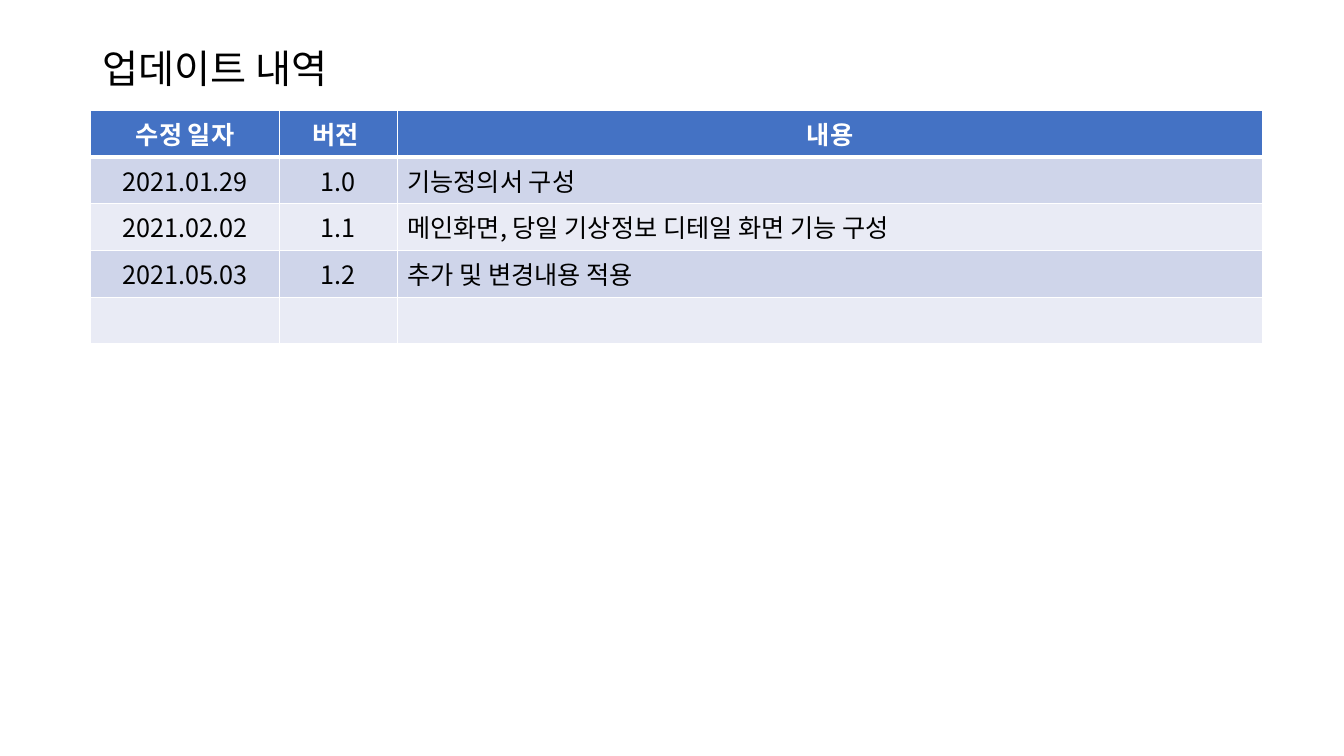
"""Build the update history slide."""
from lxml import etree
from pptx import Presentation
from pptx.dml.color import RGBColor
from pptx.enum.text import MSO_ANCHOR, PP_ALIGN
from pptx.oxml.ns import qn
from pptx.util import Cm, Pt

TITLE = "업데이트 내역"
ROWS = [
    ("수정 일자", "버전 ", "내용"),
    ("2021.01.29", "1.0", "기능정의서 구성"),
    ("2021.02.02", "1.1", "메인화면, 당일 기상정보 디테일 화면 기능 구성"),
    ("2021.05.03", "1.2", "추가 및 변경내용 적용"),
    ("", "", ""),
]
WIDTHS = (4.75, 2.97, 21.82)
LEFT, TOP, HIGH = 2.29, 2.77, 1.18
FONT = "Noto Sans CJK KR"
BLACK = RGBColor(0x00, 0x00, 0x00)
WHITE = RGBColor(0xFF, 0xFF, 0xFF)
BLUE = RGBColor(0x44, 0x72, 0xC4)
BANDS = (RGBColor(0xE9, 0xEB, 0xF5), RGBColor(0xCF, 0xD5, 0xEA))
MIDDLE = MSO_ANCHOR.MIDDLE
CENTER, START = PP_ALIGN.CENTER, PP_ALIGN.LEFT


def add_run(para, text, size, color, bold=False):
    """Add one styled run with Latin and East Asian fonts."""
    run = para.add_run()
    run.text = text
    font = run.font
    font.name, font.size, font.bold = FONT, Pt(size), bold
    font.color.rgb = color
    east = etree.Element(qn("a:ea"), typeface=FONT)
    run._r.rPr.find(qn("a:latin")).addnext(east)


def add_edge(cell, side, width):
    """Add one white border to a cell."""
    props = cell._tc.get_or_add_tcPr()
    line = etree.SubElement(props, qn("a:ln" + side), w=str(Pt(width)))
    fill = etree.SubElement(line, qn("a:solidFill"))
    etree.SubElement(fill, qn("a:srgbClr"), val=str(WHITE))


def add_title(slide):
    """Add the slide title."""
    box = slide.shapes.add_textbox(Cm(2.33), Cm(1.02), Cm(29.21), Cm(1.52))
    frame = box.text_frame
    frame.word_wrap = True
    frame.vertical_anchor = MIDDLE
    para = frame.paragraphs[0]
    para.line_spacing = 0.9
    add_run(para, TITLE, 28, BLACK)


def add_log(slide):
    """Add the table of updates."""
    frame = slide.shapes.add_table(
        len(ROWS), len(WIDTHS), Cm(LEFT), Cm(TOP),
        Cm(sum(WIDTHS)), Cm(HIGH * len(ROWS)))
    table = frame.table
    for col, width in zip(table.columns, WIDTHS):
        col.width = Cm(width)
    for i, texts in enumerate(ROWS):
        table.rows[i].height = Cm(HIGH)
        head = i == 0
        for j, text in enumerate(texts):
            cell = table.cell(i, j)
            edges = {"L": 1, "R": 1, "T": 3 if i == 1 else 1, "B": 3 if head else 1}
            for side, width in edges.items():
                add_edge(cell, side, width)
            cell.fill.solid()
            cell.fill.fore_color.rgb = BLUE if head else BANDS[i % 2]
            para = cell.text_frame.paragraphs[0]
            para.alignment = CENTER if head or j < 2 else START
            if text:
                add_run(para, text, 18, WHITE if head else BLACK, head)


def main():
    """Make and save the deck."""
    deck = Presentation()
    deck.slide_width, deck.slide_height = Cm(33.87), Cm(19.05)
    slide = deck.slides.add_slide(deck.slide_layouts[6])
    add_title(slide)
    add_log(slide)
    deck.save("out.pptx")


if __name__ == "__main__":
    main()
